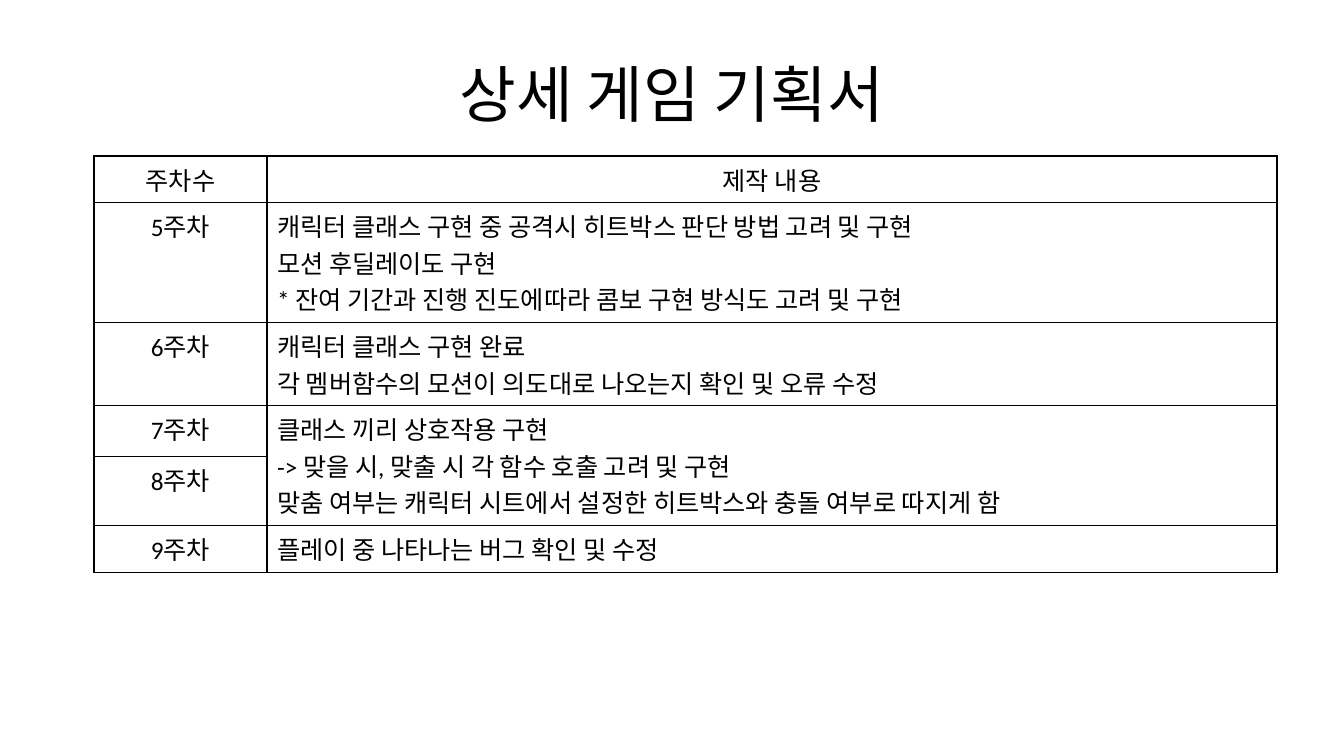
from lxml import etree
from pptx import Presentation
from pptx.dml.color import RGBColor
from pptx.enum.text import MSO_ANCHOR, PP_ALIGN
from pptx.oxml.ns import qn
from pptx.util import Pt

EMU_PER_PX = 914400 / 100.8
BLACK = RGBColor(0x00, 0x00, 0x00)
WHITE = RGBColor(0xFF, 0xFF, 0xFF)
CENTER, LEFT = PP_ALIGN.CENTER, PP_ALIGN.LEFT
MIDDLE = MSO_ANCHOR.MIDDLE
FONT = "Calibri"
TITLE_ONLY_LAYOUT = 5

COLUMN_WIDTHS = [173, 1010]
# Row height, week, production tasks
SCHEDULE = [
    (46, "주차수", ["제작 내용"]),
    (120, "5주차", [
        "캐릭터 클래스 구현 중 공격시 히트박스 판단 방법 고려 및 구현",
        "모션 후딜레이도 구현",
        "* 잔여 기간과 진행 진도에따라 콤보 구현 방식도 고려 및 구현",
    ]),
    (83, "6주차", [
        "캐릭터 클래스 구현 완료",
        "각 멤버함수의 모션이 의도대로 나오는지 확인 및 오류 수정",
    ]),
    (51, "7주차", [
        "클래스 끼리 상호작용 구현",
        "-> 맞을 시, 맞출 시 각 함수 호출 고려 및 구현",
        "맞춤 여부는 캐릭터 시트에서 설정한 히트박스와 충돌 여부로 따지게 함",
    ]),
    (69, "8주차", []),
    (46, "9주차", ["플레이 중 나타나는 버그 확인 및 수정"]),
]
MERGED_ROWS = (3, 4)


def px(length):
    return round(length * EMU_PER_PX)


def write_lines(text_frame, lines, size, alignment):
    text_frame.text = "\n".join(lines)
    for paragraph in text_frame.paragraphs:
        paragraph.alignment = alignment
        paragraph.font.name = FONT
        paragraph.font.size = Pt(size)
        paragraph.font.color.rgb = BLACK


def add_borders(cell):
    """Draw a 1 pt black line on all four sides of the cell."""
    properties = cell._tc.get_or_add_tcPr()
    for position, side in enumerate(("a:lnL", "a:lnR", "a:lnT", "a:lnB")):
        line = etree.Element(qn(side), w=str(Pt(1)))
        fill = etree.SubElement(line, qn("a:solidFill"))
        etree.SubElement(fill, qn("a:srgbClr"), val=str(BLACK))
        properties.insert(position, line)


def set_title(slide, text):
    title = slide.shapes.title
    title.left, title.top = px(67), px(30)
    title.width, title.height = px(1210), px(126)
    title.text_frame.vertical_anchor = MIDDLE
    write_lines(title.text_frame, [text], 44, CENTER)


def add_schedule(slide, left, top):
    heights = [height for height, _, _ in SCHEDULE]
    table = slide.shapes.add_table(
        len(SCHEDULE), len(COLUMN_WIDTHS), px(left), px(top),
        px(sum(COLUMN_WIDTHS)), px(sum(heights))).table
    table.first_row = False
    table.horz_banding = False
    for column, width in zip(table.columns, COLUMN_WIDTHS):
        column.width = px(width)
    for index, (height, week, tasks) in enumerate(SCHEDULE):
        table.rows[index].height = px(height)
        week_cell, task_cell = table.rows[index].cells
        write_lines(week_cell.text_frame, [week], 18, CENTER)
        write_lines(task_cell.text_frame, tasks, 18, LEFT if index else CENTER)
    for cell in table.iter_cells():
        cell.fill.solid()
        cell.fill.fore_color.rgb = WHITE
        add_borders(cell)
    first, last = MERGED_ROWS
    table.cell(first, 1).merge(table.cell(last, 1))


def main():
    presentation = Presentation()
    presentation.slide_width, presentation.slide_height = px(1344), px(756)
    layout = presentation.slide_layouts[TITLE_ONLY_LAYOUT]
    slide = presentation.slides.add_slide(layout)
    set_title(slide, "상세 게임 기획서")
    add_schedule(slide, 94, 156)
    presentation.save("out.pptx")


if __name__ == "__main__":
    main()
